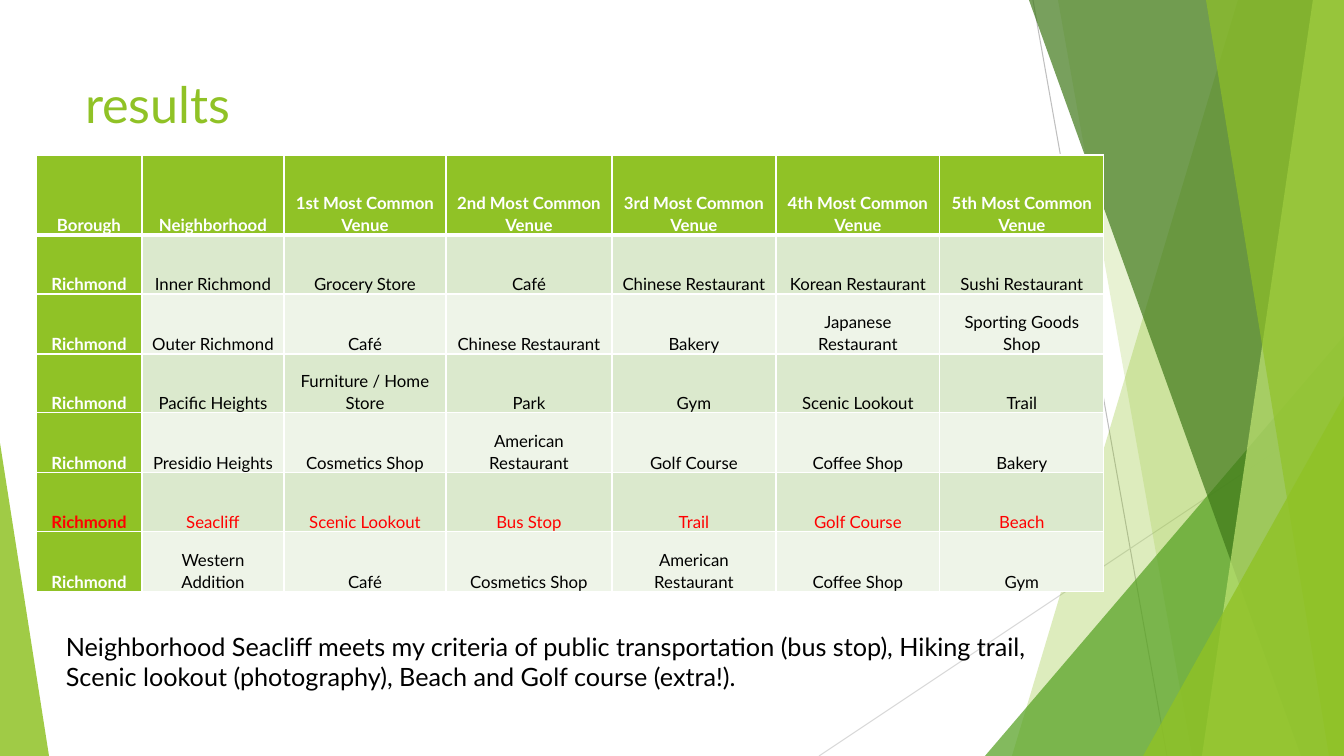
import pptx
import pptx.dml.color
import pptx.enum.shapes
import pptx.enum.text
import pptx.oxml.ns
import pptx.util
from lxml import etree

RGB = pptx.dml.color.RGBColor
WHITE = RGB(0xFF, 0xFF, 0xFF)
BLACK = RGB(0, 0, 0)
RED = RGB(0xFF, 0, 0)
GREEN = RGB(0x90, 0xC2, 0x26)
MID_GREEN = RGB(0x54, 0xA0, 0x21)
DARK_GREEN = RGB(0x3F, 0x78, 0x19)
LIME = RGB(0xC0, 0xE4, 0x74)
BAND = RGB(0xDB, 0xE9, 0xCD)
PALE_BAND = RGB(0xEE, 0xF4, 0xE8)
GRAY = RGB(0xBF, 0xBF, 0xBF)
LIGHT_GRAY = RGB(0xD9, 0xD9, 0xD9)

ANCHOR = pptx.enum.text.MSO_ANCHOR
WIDTH, HEIGHT = 1344, 756


def px(length):
    return pptx.util.Emu(round(length * 914400 / 100.8))


def add_child(parent, tag, **attributes):
    return etree.SubElement(parent, pptx.oxml.ns.qn(tag), attributes)


def write(frame, text, font="Lato", size=12, color=BLACK, bold=False,
          align=pptx.enum.text.PP_ALIGN.LEFT, anchor=ANCHOR.TOP, spacing=1.0):
    """Fill a text frame, one paragraph for each line of text."""
    frame.word_wrap = True
    frame.vertical_anchor = anchor
    for number, line in enumerate(text.split("\n")):
        para = frame.add_paragraph() if number else frame.paragraphs[0]
        para.alignment = align
        para.line_spacing = spacing
        span = para.add_run()
        span.text = line
        span.font.name = font
        span.font.size = pptx.util.Pt(size)
        span.font.bold = bold
        span.font.color.rgb = color


class Page:
    def __init__(self, deck):
        self.slide = deck.slides.add_slide(deck.slide_layouts[5])
        self.shapes = self.slide.shapes

    def line(self, start, end, color):
        line = self.shapes.add_connector(
            pptx.enum.shapes.MSO_CONNECTOR.STRAIGHT, *map(px, start + end))
        line.line.color.rgb = color
        line.line.width = pptx.util.Pt(0.75)
        add_child(line._element.spPr, "a:effectLst")

    def paint(self, shape, color, opacity):
        shape.shadow.inherit = False
        shape.line.fill.background()
        shape.fill.solid()
        shape.fill.fore_color.rgb = color
        color_node = shape._element.spPr.find(".//" + pptx.oxml.ns.qn("a:srgbClr"))
        add_child(color_node, "a:alpha", val=str(opacity * 1000))

    def shard(self, top, bottom, color, opacity):
        """Full-height panel from a slanted left edge to the slide's right edge."""
        builder = self.shapes.build_freeform(px(top), 0, scale=1.0)
        corners = [(WIDTH, 0), (WIDTH, HEIGHT), (bottom, HEIGHT)]
        builder.add_line_segments([(px(x), px(y)) for x, y in corners])
        self.paint(builder.convert_to_shape(), color, opacity)

    def triangle(self, left, top, width, apex, color, opacity):
        """Triangle standing on the bottom edge of the slide."""
        shape = self.shapes.add_shape(
            pptx.enum.shapes.MSO_SHAPE.ISOSCELES_TRIANGLE,
            *map(px, (left, top, width, HEIGHT - top)))
        shape.adjustments[0] = apex
        self.paint(shape, color, opacity)

    def title(self, text, *place):
        title = self.shapes.title
        title.left, title.top, title.width, title.height = map(px, place)
        title.text_frame.auto_size = pptx.enum.text.MSO_AUTO_SIZE.NONE
        write(title.text_frame, text, size=36, color=GREEN)
        self.shapes._spTree.append(title._element)

    def text(self, text, *place):
        box = self.shapes.add_textbox(*map(px, place))
        write(box.text_frame, text, size=18)

    def cell(self, cell, text, fill, color, bold, borders):
        cell.margin_left = cell.margin_right = px(7)
        cell.margin_top = cell.margin_bottom = 0
        cell.vertical_anchor = ANCHOR.BOTTOM
        write(cell.text_frame, text, color=color, bold=bold, spacing=1.07,
              align=pptx.enum.text.PP_ALIGN.CENTER, anchor=None)
        properties = cell._tc.get_or_add_tcPr()
        for side, points in borders.items():
            edge = add_child(properties, "a:ln" + side, w=str(points * 12700))
            solid = add_child(edge, "a:solidFill")
            add_child(solid, "a:srgbClr", val=str(WHITE))
        cell.fill.solid()
        cell.fill.fore_color.rgb = fill

    def table(self, rows, left, top, widths, heights, marked):
        table = self.shapes.add_table(
            len(rows), len(widths),
            *map(px, (left, top, sum(widths), sum(heights)))).table
        for column, width in zip(table.columns, widths):
            column.width = px(width)
        for r, (values, height) in enumerate(zip(rows, heights)):
            table.rows[r].height = px(height)
            borders = {"L": 1, "R": 1, "T": 3 if r == 1 else 1, "B": 1 if r else 3}
            for c, value in enumerate(values):
                heading = r == 0 or c == 0
                fill = GREEN if heading else BAND if r % 2 else PALE_BAND
                color = RED if r == marked else WHITE if heading else BLACK
                self.cell(table.cell(r, c), value, fill, color, heading, borders)


deck = pptx.Presentation()
deck.slide_width, deck.slide_height = px(WIDTH), px(HEIGHT)
page = Page(deck)

# Green facets behind the content
page.line((1033, 0), (1167, HEIGHT), GRAY)
page.line((WIDTH, 406), (819, HEIGHT), LIGHT_GRAY)
page.shard(1238, 1012, GREEN, 30)
page.shard(1058, 1192, GREEN, 20)
page.triangle(985, 336, 359, 1, MID_GREEN, 72)
page.shard(1029, 1301, DARK_GREEN, 70)
page.shard(1313, 1202, LIME, 70)
page.shard(1206, 1329, GREEN, 65)
page.triangle(1143, 396, 201, 1, GREEN, 80)
page.triangle(0, 443, 49, 0, GREEN, 85)

page.title("results", 75, 68, 948, 145)

# Venue table, with the chosen neighborhood in red
ranks = ["1st", "2nd", "3rd", "4th", "5th"]
header = ["Borough", "Neighborhood"] + [f"{rank} Most Common Venue" for rank in ranks]
venues = [
    ["Inner Richmond", "Grocery Store", "Café", "Chinese Restaurant",
     "Korean Restaurant", "Sushi Restaurant"],
    ["Outer Richmond", "Café", "Chinese Restaurant", "Bakery",
     "Japanese Restaurant", "Sporting Goods Shop"],
    ["Pacific Heights", "Furniture / Home Store", "Park", "Gym",
     "Scenic Lookout", "Trail"],
    ["Presidio Heights", "Cosmetics Shop", "American Restaurant", "Golf Course",
     "Coffee Shop", "Bakery"],
    ["Seacliff", "Scenic Lookout", "Bus Stop", "Trail", "Golf Course", "Beach"],
    ["Western Addition", "Café", "Cosmetics Shop", "American Restaurant",
     "Coffee Shop", "Gym"],
]
page.table([header] + [["Richmond"] + row for row in venues], 36, 155,
           widths=[106, 142, 162, 166] + [164] * 3,
           heights=[80] + [59, 60] * 3, marked=5)

# Conclusion
page.text("Neighborhood Seacliff meets my criteria of public transportation "
          "(bus stop), Hiking trail,\n"
          "Scenic lookout (photography), Beach and Golf course (extra!).",
          56, 626, 1026, 72)

deck.save("out.pptx")
